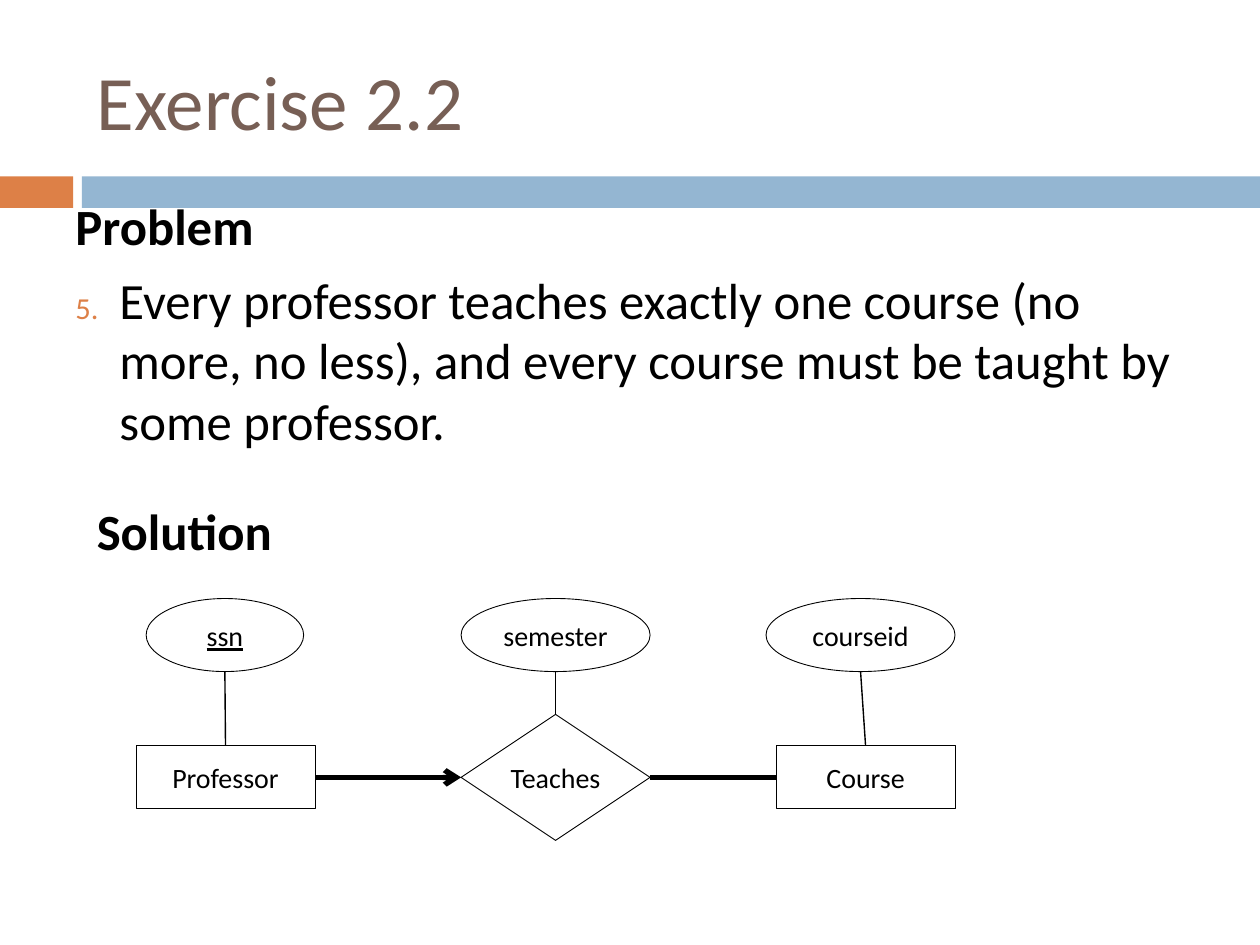
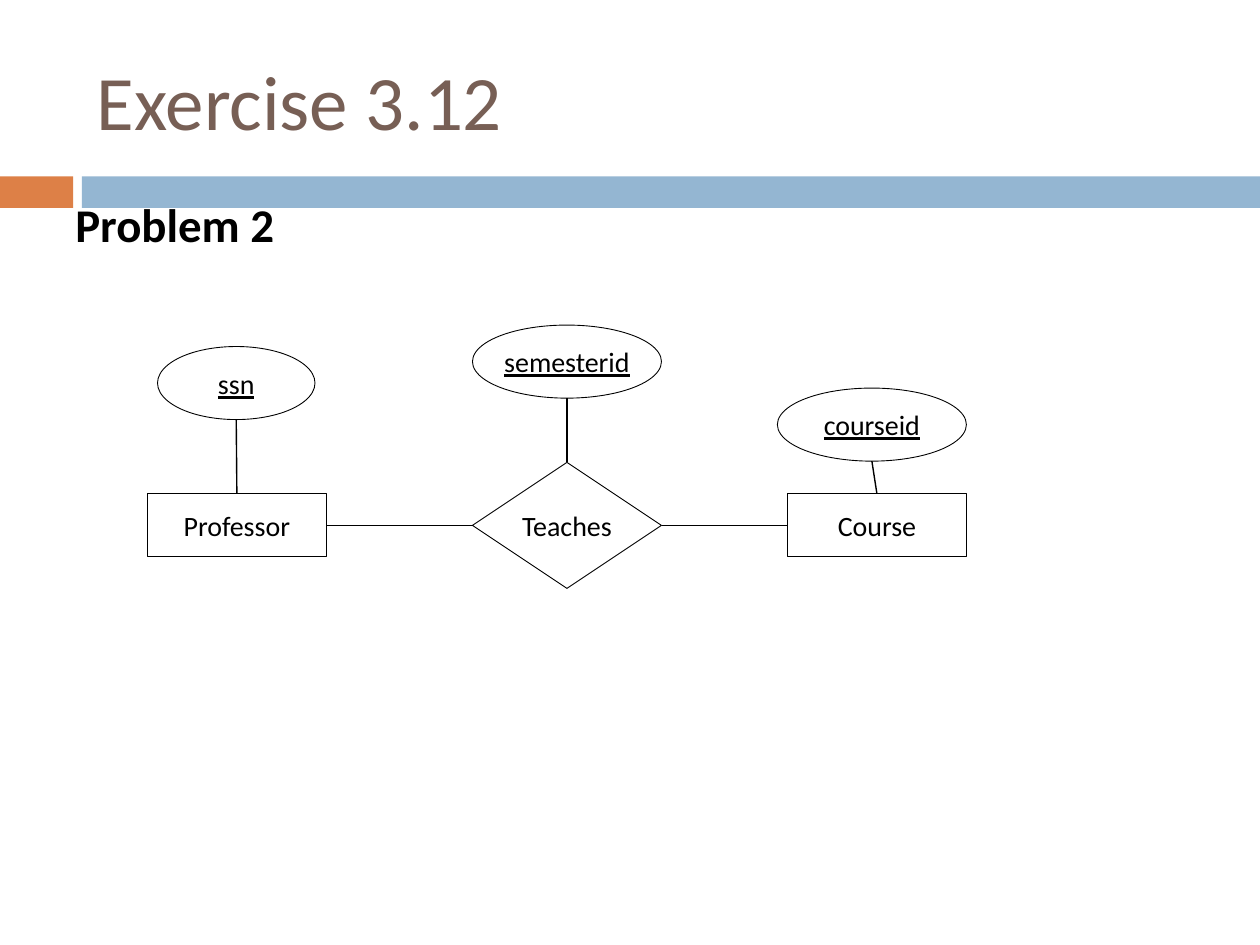
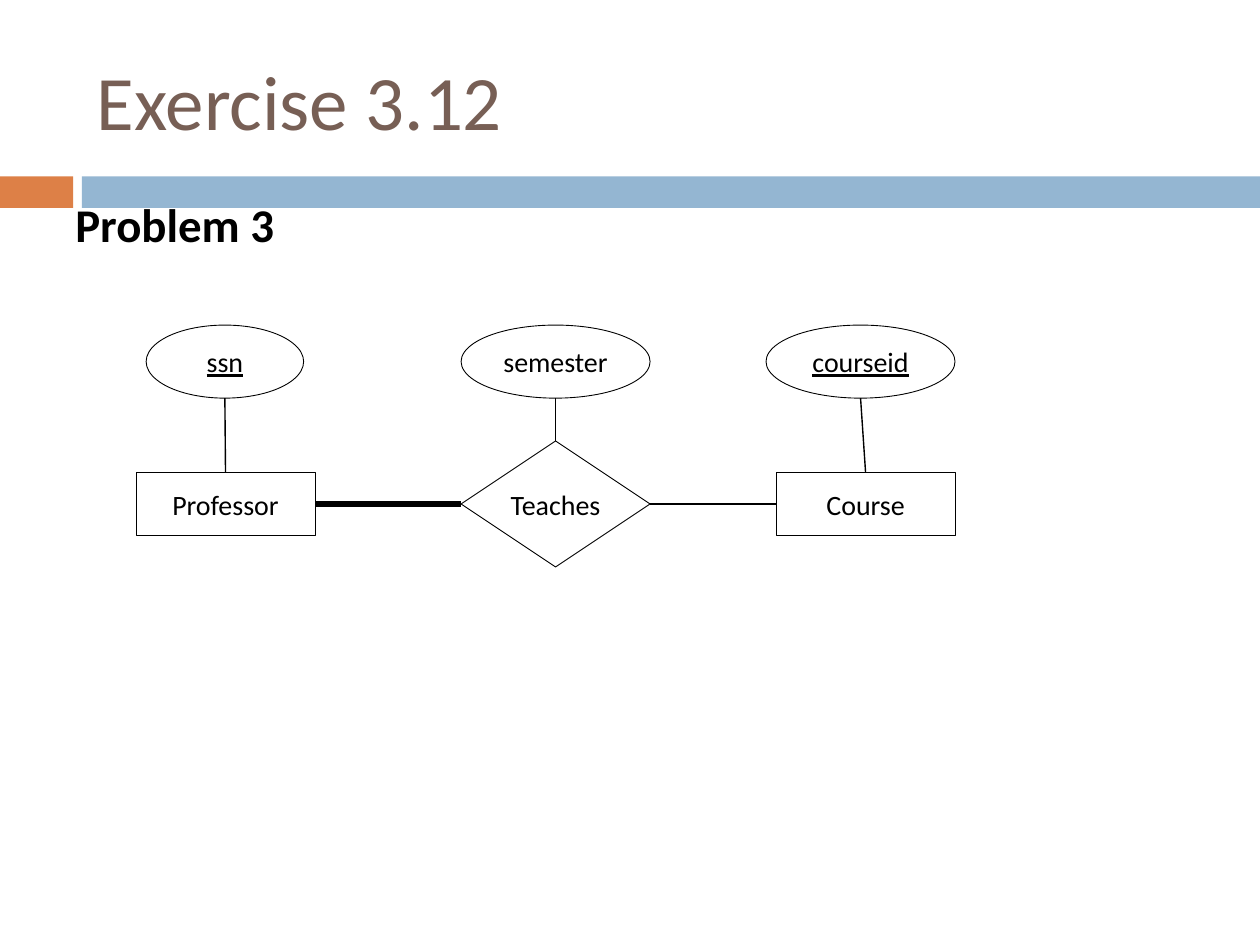
import pptx
import pptx.util
import pptx.dml.color
import pptx.enum.shapes
import pptx.enum.text
import pptx.oxml
import pptx.oxml.ns

Inches, Pt = pptx.util.Inches, pptx.util.Pt
SHAPE = pptx.enum.shapes.MSO_SHAPE
MIDDLE = pptx.enum.text.MSO_ANCHOR.MIDDLE
COLORS = {"orange": "DD8047", "blue": "94B6D2", "title": "775F55",
          "ink": "000000", "paper": "FFFFFF"}
FONT = "Calibri"
THIN, THICK = 0.79, 3  # connector widths; thick means total participation
TOP, LEFT, BOTTOM, RIGHT = range(4)

# Each exercise: texts as (box, size, heading, numbered problem statement),
# diagram origin, attributes as (label, is key, top), and the two role lines
exercises = [
    {"title": "Exercise 2.2",
     "texts": [((0.5, 1.5, 9, 3), 29, "Problem",
                "Every professor teaches exactly one course (no more, no less), "
                "and every course must be taught by some professor."),
               ((0.67, 3.92, 9, 3.25), 29, "Solution", None)],
     "left": 1.08, "middle": 6.17,
     "attributes": [("ssn", True, 4.75), ("semester", False, 4.75), ("courseid", False, 4.75)],
     "professor_line": THICK, "course_line": THICK, "arrow": True},
    {"title": "Exercise 3.12",
     "texts": [((0.5, 1.5, 2.17, 0.67), 26.8, "Problem 2", None)],
     "left": 1.17, "middle": 4.17,
     "attributes": [("ssn", True, 2.75), ("semesterid", True, 2.58), ("courseid", True, 3.08)],
     "professor_line": THIN, "course_line": THIN, "arrow": False},
    {"title": "Exercise 3.12",
     "texts": [((0.5, 1.5, 2.17, 0.58), 26.8, "Problem 3", None)],
     "left": 1.08, "middle": 4,
     "attributes": [("ssn", True, 2.58), ("semester", False, 2.58), ("courseid", True, 2.58)],
     "professor_line": THICK, "course_line": THIN, "arrow": False},
]


def add_run(paragraph, text, size, color="ink", bold=False, underline=False):
    run = paragraph.add_run()
    run.text = text
    run.font.name = FONT
    run.font.size = Pt(size)
    run.font.bold = bold
    run.font.underline = underline
    run.font.color.rgb = pptx.dml.color.RGBColor.from_string(COLORS[color])


def add_node(slide, outline, box, fill, label=None, is_key=False):
    node = slide.shapes.add_shape(outline, *map(Inches, box))
    node.shadow.inherit = False
    node.fill.solid()
    node.fill.fore_color.rgb = pptx.dml.color.RGBColor.from_string(COLORS[fill])
    if label is None:
        node.line.fill.background()
        return node
    node.line.color.rgb = pptx.dml.color.RGBColor.from_string(COLORS["ink"])
    node.line.width = Pt(0.5)
    frame = node.text_frame
    frame.word_wrap = False
    frame.vertical_anchor = MIDDLE
    frame.margin_left = frame.margin_right = frame.margin_top = frame.margin_bottom = 0
    frame.paragraphs[0].alignment = pptx.enum.text.PP_ALIGN.CENTER
    add_run(frame.paragraphs[0], label, 16, underline=is_key)
    return node


deck = pptx.Presentation()
deck.slide_width, deck.slide_height = Inches(10), Inches(7.5)

for exercise in exercises:
    slide = deck.slides.add_slide(deck.slide_layouts[6])

    # Bands and title
    add_node(slide, SHAPE.RECTANGLE, (0, 1.4, 0.58, 0.25), "orange")
    add_node(slide, SHAPE.RECTANGLE, (0.65, 1.4, 9.35, 0.25), "blue")
    title = slide.shapes.add_textbox(*map(Inches, (0.67, 0.25, 8.92, 1.08))).text_frame
    title.word_wrap = True
    title.vertical_anchor = MIDDLE
    add_run(title.paragraphs[0], exercise["title"], 44, "title")

    # Headings and problem statement
    for box, size, heading, statement in exercise["texts"]:
        body = slide.shapes.add_textbox(*map(Inches, box)).text_frame
        body.word_wrap = True
        add_run(body.paragraphs[0], heading, size, bold=True)
        if statement:
            item = body.add_paragraph()
            properties = item._p.get_or_add_pPr()
            properties.set("marL", str(Inches(0.35)))
            properties.set("indent", str(Inches(-0.35)))
            namespace = pptx.oxml.ns.nsdecls("a")
            for bullet in (
                f'<a:buClr {namespace}><a:srgbClr val="{COLORS["orange"]}"/></a:buClr>',
                f'<a:buSzPct {namespace} val="60000"/>',
                f'<a:buAutoNum {namespace} type="arabicPeriod" startAt="5"/>',
            ):
                properties.append(pptx.oxml.parse_xml(bullet))
            item.space_before = Pt(7)
            add_run(item, statement, size)

    # Entities and relationship, centred on one row
    left, middle = exercise["left"], exercise["middle"]
    professor, teaches, course = [
        add_node(slide, outline, (left + offset, middle - height / 2, width, height), "paper", label)
        for label, outline, offset, width, height in (
            ("Professor", SHAPE.RECTANGLE, 0, 1.42, 0.5),
            ("Teaches", SHAPE.DIAMOND, 2.58, 1.5, 1),
            ("Course", SHAPE.RECTANGLE, 5.08, 1.42, 0.5))]

    # Attributes, each above its owner
    links = [(professor, RIGHT, teaches, LEFT, exercise["professor_line"]),
             (course, LEFT, teaches, RIGHT, exercise["course_line"])]
    for (label, is_key, top), owner, offset, width in zip(
            exercise["attributes"], (professor, teaches, course), (0.08, 2.58, 5), (1.25, 1.5, 1.5)):
        attribute = add_node(slide, SHAPE.OVAL, (left + offset, top, width, 0.58), "paper", label, is_key)
        links.append((owner, TOP, attribute, BOTTOM, THIN))

    # Lines; an oval numbers its sites differently, so that end stays free
    for start, start_side, end, end_side, width in links:
        link = slide.shapes.add_connector(
            pptx.enum.shapes.MSO_CONNECTOR.STRAIGHT, 0, 0,
            end.left + end.width // 2, end.top + end.height)
        link.begin_connect(start, start_side)
        if end is teaches:
            link.end_connect(end, end_side)
        link.line.color.rgb = pptx.dml.color.RGBColor.from_string(COLORS["ink"])
        link.line.width = Pt(width)
        shape_properties = link._element.spPr
        if exercise["arrow"] and start is professor and end is teaches:
            line = shape_properties.find(pptx.oxml.ns.qn("a:ln"))
            line.append(pptx.oxml.parse_xml(
                f'<a:tailEnd {pptx.oxml.ns.nsdecls("a")} type="arrow"/>'))
        shape_properties.append(pptx.oxml.parse_xml(
            f'<a:effectLst {pptx.oxml.ns.nsdecls("a")}/>'))

deck.save("out.pptx")
